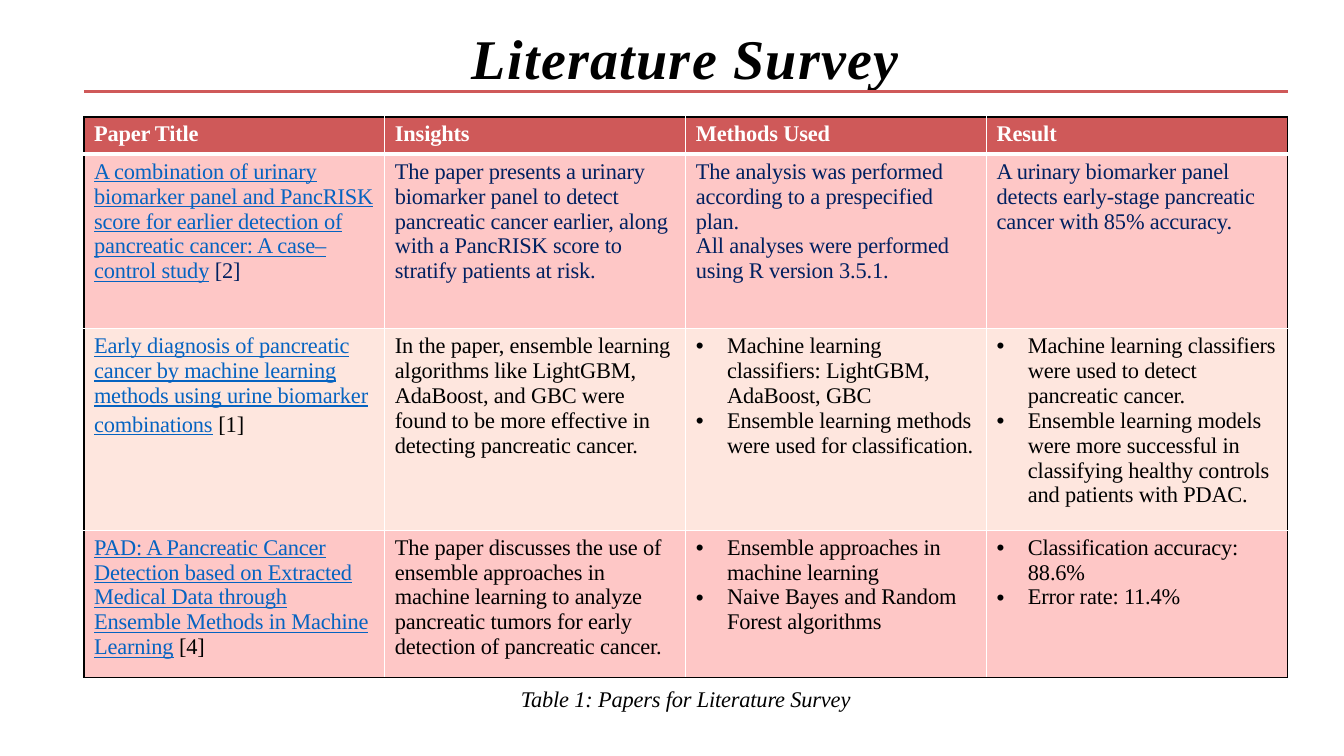
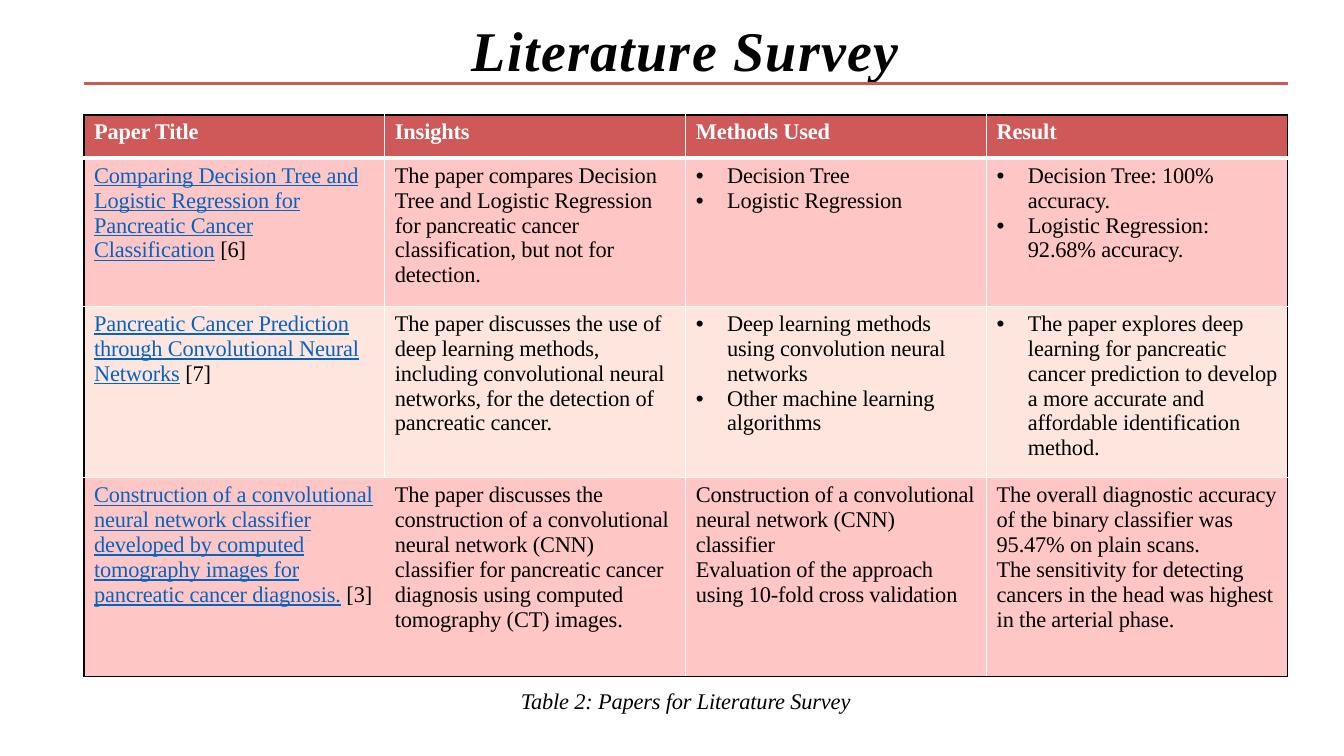
"""Literature survey slides: a ruled title, a table of papers and a caption."""
from collections import namedtuple

import pptx
import pptx.dml.color
import pptx.enum.shapes
import pptx.enum.text
import pptx.oxml
import pptx.oxml.ns
import pptx.util

Box = namedtuple("Box", "left top width height")
Cite = namedtuple("Cite", "title ref gap", defaults=("body",))
Row = namedtuple("Row", "cells ink", defaults=("black",))
Survey = namedtuple("Survey", "title_top table_top table_height caption_top caption shares rows open_edges")

SERIF = "Times New Roman"
BODY = {"name": SERIF, "size": 16, "spc": -10}
THEME = {
    "colors": {"black": "000000", "white": "FFFFFF", "red": "CF5959", "pink": "FEC7C6",
               "peach": "FEE6DE", "link": "0563C1", "navy": "002060"},
    "text": {
        "title": {"name": SERIF, "size": 40, "bold": True, "italic": True, "spc": 100},
        "head": {**BODY, "bold": True},
        "body": {**BODY, "bold": False},
        "link": {**BODY, "bold": False, "underline": True},
        "wide": {"name": "Calibri", "size": 18},
        "caption": {**BODY, "italic": True},
    },
    "rule": 2.16, "edge": 1, "head_edge": 3, "indent": 0.31,
}
SLIDE = Box(0, 0, pptx.util.Inches(13.33), pptx.util.Inches(7.5))
HEADS = ("Paper Title", "Insights", "Methods Used", "Result")

SURVEYS = [
    Survey(2.8, 15.47, 74.13, 90.4, "Table 1: Papers for Literature Survey", (6.65, 31.12, 35.97, 26.26), [
        Row([Cite("A combination of urinary biomarker panel and PancRISK score for earlier detection of "
                  "pancreatic cancer: A case–control study", "[2]"),
             ("The paper presents a urinary biomarker panel to detect pancreatic cancer earlier, along with "
              "a PancRISK score to stratify patients at risk.",),
             ("The analysis was performed according to a prespecified plan.",
              "All analyses were performed using R version 3.5.1."),
             ("A urinary biomarker panel detects early-stage pancreatic cancer with 85% accuracy.",)], "navy"),
        Row([Cite("Early diagnosis of pancreatic cancer by machine learning methods using urine biomarker "
                  "combinations", "[1]", "wide"),
             ("In the paper, ensemble learning algorithms like LightGBM, AdaBoost, and GBC were found to be "
              "more effective in detecting pancreatic cancer.",),
             ["Machine learning classifiers: LightGBM, AdaBoost, GBC",
              "Ensemble learning methods were used for classification."],
             ["Machine learning classifiers were used to detect pancreatic cancer.",
              "Ensemble learning models were more successful in classifying healthy controls and patients "
              "with PDAC."]]),
        Row([Cite("PAD: A Pancreatic Cancer Detection based on Extracted Medical Data through Ensemble "
                  "Methods in Machine Learning", "[4]"),
             ("The paper discusses the use of ensemble approaches in machine learning to analyze pancreatic "
              "tumors for early detection of pancreatic cancer.",),
             ["Ensemble approaches in machine learning", "Naive Bayes and Random Forest algorithms"],
             ["Classification accuracy: 88.6%", "Error rate: 11.4%"]]),
    ], ()),
    Survey(1.73, 15.2, 74.27, 90.67, "Table 2: Papers for Literature Survey", (7.72, 26.39, 30.52, 35.37), [
        Row([Cite("Comparing Decision Tree and Logistic Regression for Pancreatic Cancer Classification", "[6]"),
             ("The paper compares Decision Tree and Logistic Regression for pancreatic cancer "
              "classification, but not for detection.",),
             ["Decision Tree", "Logistic Regression"],
             ["Decision Tree: 100% accuracy.", "Logistic Regression: 92.68% accuracy."]]),
        Row([Cite("Pancreatic Cancer Prediction through Convolutional Neural Networks", "[7]"),
             ("The paper discusses the use of deep learning methods, including convolutional neural "
              "networks, for the detection of pancreatic cancer.",),
             ["Deep learning methods using convolution neural networks", "Other machine learning algorithms"],
             ["The paper explores deep learning for pancreatic cancer prediction to develop a more accurate "
              "and affordable identification method."]]),
        Row([Cite("Construction of a convolutional neural network classifier developed by computed "
                  "tomography images for pancreatic cancer diagnosis.", "[3]"),
             ("The paper discusses the construction of a convolutional neural network (CNN) classifier for "
              "pancreatic cancer diagnosis using computed tomography (CT) images.",),
             ("Construction of a convolutional neural network (CNN) classifier",
              "Evaluation of the approach using 10-fold cross validation"),
             ("The overall diagnostic accuracy of the binary classifier was 95.47% on plain scans.",
              "The sensitivity for detecting cancers in the head was highest in the arterial phase.")]),
    ], ((3, 0, "R"), (3, 1, "L"))),
]


def part(box, left, top, width, height):
    """Return the box that lies at the given percentages of another box."""
    return Box(*(round(v) for v in (box.left + box.width * left / 100, box.top + box.height * top / 100,
                                    box.width * width / 100, box.height * height / 100)))


def rgb(name):
    """Return a theme colour."""
    return pptx.dml.color.RGBColor.from_string(THEME["colors"][name])


def add_run(p, text, style, ink="black"):
    """Add a run in a theme text style."""
    r = p.add_run()
    r.text = text
    for key, value in THEME["text"][style].items():
        if key == "spc":
            r._r.get_or_add_rPr().set("spc", str(value))
        else:
            setattr(r.font, key, pptx.util.Pt(value) if key == "size" else value)
    r.font.color.rgb = rgb(ink)


def add_bullet(p):
    """Give a paragraph a hanging bullet."""
    pPr = p._p.get_or_add_pPr()
    indent = pptx.util.Inches(THEME["indent"])
    for key, value in {"marL": indent, "indent": -indent}.items():
        pPr.set(key, str(value))
    pptx.oxml.ns.qn("a:buChar")
    for xml in ('<a:buFont %s typeface="Arial"/>', '<a:buChar %s char="•"/>'):
        pPr.append(pptx.oxml.parse_xml(xml % pptx.oxml.ns.nsdecls("a")))


def add_line_of_text(s, box, text, style, margin_top):
    """Place one centred line of text in a box."""
    tf = s.shapes.add_textbox(*box).text_frame
    margins = {"margin_left": 0, "margin_right": 0, "margin_bottom": 0,
               "margin_top": pptx.util.Inches(margin_top), "word_wrap": True}
    for key, value in margins.items():
        setattr(tf, key, value)
    p = tf.paragraphs[0]
    p.alignment, p.line_spacing = pptx.enum.text.PP_ALIGN.CENTER, 0.9
    add_run(p, text, style)


def add_title(s, box):
    """Place the title and the rule below it."""
    add_line_of_text(s, part(box, 30, 0, 40, 91), "Literature Survey", "title", 0.1)
    y = box.top + box.height
    sp = s.shapes.add_connector(pptx.enum.shapes.MSO_CONNECTOR.STRAIGHT, box.left, y, box.left + box.width, y)
    sp.line.color.rgb = rgb("red")
    sp.line.width = pptx.util.Pt(THEME["rule"])
    sp._element.spPr.append(pptx.oxml.parse_xml("<a:effectLst %s/>" % pptx.oxml.ns.nsdecls("a")))


def set_edge(cell, side, ink, width):
    """Draw one border of a cell, or none when the ink is empty."""
    fill = ('<a:solidFill><a:srgbClr val="%s"/></a:solidFill>' % THEME["colors"][ink]) if ink else "<a:noFill/>"
    cell._tc.get_or_add_tcPr().append(pptx.oxml.parse_xml(
        '<a:ln%s %s w="%d">%s</a:ln%s>' % (side, pptx.oxml.ns.nsdecls("a"), pptx.util.Pt(width), fill, side)))


def fill_cell(cell, content, ink):
    """Write a heading, a citation, paragraphs or bullets into a cell."""
    tf = cell.text_frame
    if isinstance(content, Cite):
        p = tf.paragraphs[0]
        add_run(p, content.title, "link", "link")
        add_run(p, " ", content.gap, ink)
        add_run(p, content.ref, "body", ink)
    elif isinstance(content, str):
        add_run(tf.paragraphs[0], content, "head", "white")
    else:
        for i, text in enumerate(content):
            p = tf.add_paragraph() if i else tf.paragraphs[0]
            if isinstance(content, list):
                add_bullet(p)
            add_run(p, text, "body", ink)


def add_papers(s, box, survey):
    """Place the table of papers with a black frame and white inner borders."""
    rows = [Row(HEADS), *survey.rows]
    last_row, last_col = len(rows) - 1, len(HEADS) - 1
    table = s.shapes.add_table(len(rows), len(HEADS), *box).table
    table.first_row = table.horz_banding = False
    for col in table.columns:
        col.width = round(box.width / len(HEADS))
    for i, row in enumerate(rows):
        table.rows[i].height = round(box.height * survey.shares[i] / 100)
        for j, content in enumerate(row.cells):
            cell = table.cell(i, j)
            outer = {"L": j == 0, "R": j == last_col, "T": i == 0, "B": i == last_row}
            for side, on_frame in outer.items():
                ink = None if (i, j, side) in survey.open_edges else "black" if on_frame else "white"
                under_head = (i, side) in ((0, "B"), (1, "T"))
                set_edge(cell, side, ink, THEME["head_edge" if under_head else "edge"])
            cell.fill.solid()
            cell.fill.fore_color.rgb = rgb("red" if i == 0 else "pink" if i % 2 else "peach")
            fill_cell(cell, content, row.ink)


def add_survey(prs, survey):
    """Build one survey slide."""
    s = prs.slides.add_slide(prs.slide_layouts[6])
    left, width = 6.25, 89.55
    add_title(s, part(SLIDE, left, survey.title_top, width, 9.33))
    add_papers(s, part(SLIDE, left, survey.table_top, width, survey.table_height), survey)
    add_line_of_text(s, part(SLIDE, left, survey.caption_top, width, 4.53), survey.caption, "caption", 0.05)


def main():
    """Build and save the presentation."""
    prs = pptx.Presentation()
    prs.slide_width, prs.slide_height = SLIDE.width, SLIDE.height
    for survey in SURVEYS:
        add_survey(prs, survey)
    prs.save("out.pptx")


if __name__ == "__main__":
    main()
